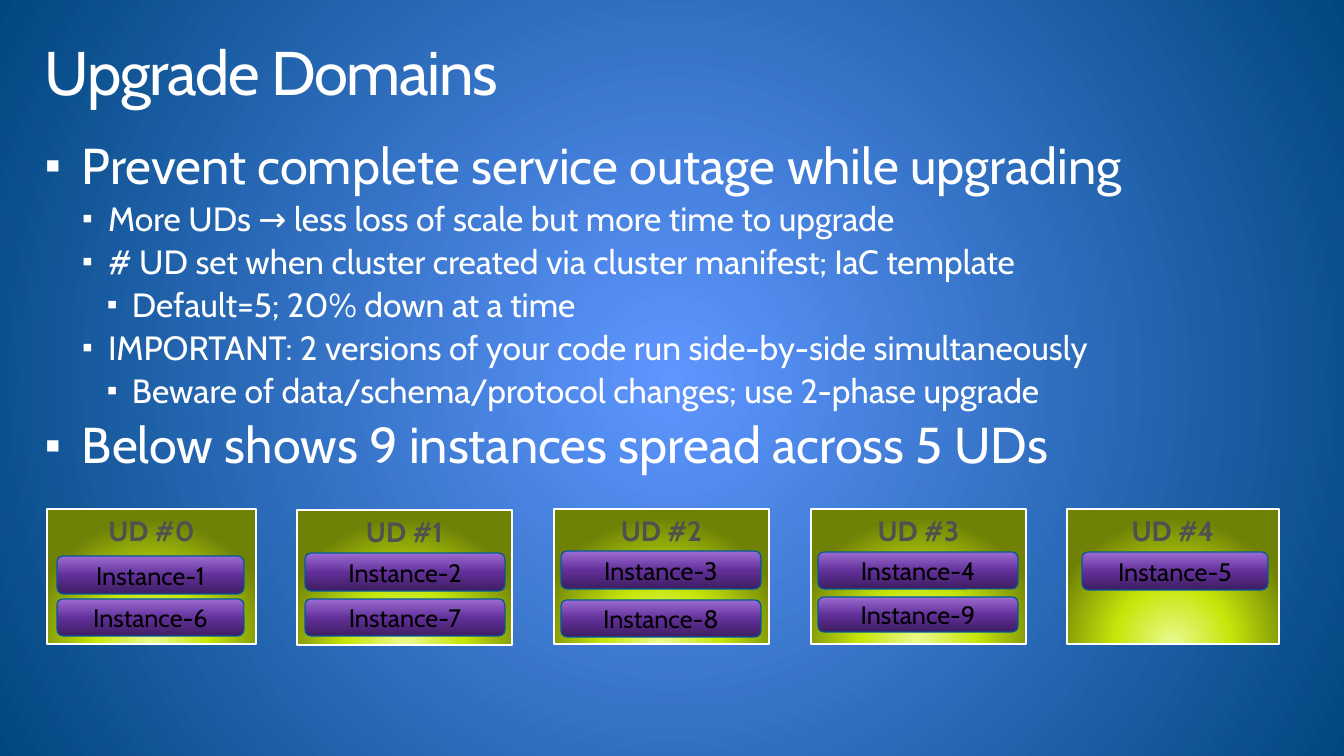
import pptx
import pptx.util
import pptx.dml.color
import pptx.enum.shapes
import pptx.enum.text
import pptx.oxml
import pptx.oxml.ns
import lxml.etree

PX = 9072
FONT = "Cabin"
COLORS = {
    "white": "FFFFFF", "heading": "505050", "black": "000000", "edge": "00599F",
    "bg_center": "5F96FF", "bg_edge": "00477F",
    "lime_pale": "EBFA92", "lime": "C6E60B", "olive": "708206",
    "purple_dark": "3E1E61", "purple": "612F98", "purple_light": "9C6CD2",
}
ALIGN = pptx.enum.text.PP_ALIGN
ANCHOR = pptx.enum.text.MSO_ANCHOR
SHAPE = pptx.enum.shapes.MSO_SHAPE
qn = pptx.oxml.ns.qn


def add_run(p, text, size, color, bold=False):
    r = p.add_run()
    r.text = text
    r.font.name = FONT
    r.font.size = pptx.util.Pt(size)
    r.font.bold = bold
    r.font.color.rgb = pptx.dml.color.RGBColor.from_string(COLORS[color])
    return r


def set_gradient(owner, fill, stops, direction):
    fill.gradient()
    old = owner._element.find(".//" + qn("a:gradFill"))
    gs = "".join(
        f'<a:gs pos="{pos * 1000}"><a:srgbClr val="{COLORS[name]}"/></a:gs>'
        for pos, name in stops
    )
    new = pptx.oxml.parse_xml(
        f'<a:gradFill {pptx.oxml.ns.nsdecls("a")} rotWithShape="1">'
        f"<a:gsLst>{gs}</a:gsLst>{direction}</a:gradFill>"
    )
    old.getparent().replace(old, new)


CIRCLE = '<a:path path="circle"><a:fillToRect l="50000" t="{}" r="50000" b="{}"/></a:path>'
UPWARD = '<a:lin ang="16200000" scaled="0"/>'

prs = pptx.Presentation()
prs.slide_width = 1344 * PX
prs.slide_height = 756 * PX
s = prs.slides.add_slide(prs.slide_layouts[5])
set_gradient(s, s.background.fill, [(0, "bg_center"), (100, "bg_edge")],
             CIRCLE.format(50000, 50000))

title = s.shapes.title
title.left, title.top, title.width, title.height = 29 * PX, 32 * PX, 1285 * PX, 99 * PX
body = s.shapes.add_textbox(29 * PX, 131 * PX, 1284 * PX, 367 * PX)
for sp in (title, body):
    tf = sp.text_frame
    tf.word_wrap = True
    tf.auto_size = pptx.enum.text.MSO_AUTO_SIZE.NONE
    tf.vertical_anchor = ANCHOR.TOP
    tf.margin_left = tf.margin_right = 16 * PX
    tf.margin_top = tf.margin_bottom = 10 * PX

p = title.text_frame.paragraphs[0]
p.alignment = ALIGN.LEFT
p.line_spacing = 0.9
r = add_run(p, "Upgrade Domains", 44, "white")
r.font._element.set("spc", "-100")

bullets = [
    (0, "Prevent complete service outage while upgrading"),
    (1, "More UDs → less loss of scale but more time to upgrade"),
    (1, "# UD set when cluster created via cluster manifest; IaC template"),
    (2, "Default=5; 20% down at a time"),
    (1, "IMPORTANT: 2 versions of your code run side-by-side simultaneously"),
    (2, "Beware of data/schema/protocol changes; use 2-phase upgrade"),
    (0, "Below shows 9 instances spread across 5 UDs"),
]
levels = [(37, -37, 36), (63, -26, 24), (87, -25, 24)]
tf = body.text_frame
for i, (level, text) in enumerate(bullets):
    margin, indent, size = levels[level]
    p = tf.add_paragraph() if i else tf.paragraphs[0]
    p.level = level
    p.line_spacing = 0.9
    p.space_before = pptx.util.Pt(size * 0.2 if i else 0)
    pPr = p._p.get_or_add_pPr()
    pPr.set("marL", str(margin * PX))
    pPr.set("indent", str(indent * PX))
    lxml.etree.SubElement(pPr, qn("a:buSzPct"), val="90000")
    lxml.etree.SubElement(pPr, qn("a:buFont"), typeface="Arial")
    lxml.etree.SubElement(pPr, qn("a:buChar"), char="▪")
    add_run(p, text, size, "white")

domains = [
    ((47, 509, 209), (57, 187), [(556, 38), (599, 37)]),
    ((297, 510, 215), (305, 200), [(553, 38), (599, 37)]),
    ((554, 509, 215), (561, 200), [(551, 38), (600, 37)]),
    ((811, 509, 215), (818, 200), [(552, 37), (597, 35)]),
    ((1067, 509, 212), (1082, 186), [(552, 38)]),
]
for n, ((left, top, width), (inst_left, inst_width), instances) in enumerate(domains):
    sp = s.shapes.add_shape(SHAPE.RECTANGLE, left * PX, top * PX, width * PX, 135 * PX)
    sp.shadow.inherit = False
    set_gradient(sp, sp.fill, [(0, "lime_pale"), (46, "lime"), (100, "olive")],
                 CIRCLE.format(130000, -30000))
    sp.line.color.rgb = pptx.dml.color.RGBColor.from_string(COLORS["white"])
    sp.line.width = pptx.util.Pt(1.5)
    tf = sp.text_frame
    tf.vertical_anchor = ANCHOR.TOP
    tf.margin_left = tf.margin_right = tf.margin_top = tf.margin_bottom = 5 * PX
    p = tf.paragraphs[0]
    p.alignment = ALIGN.CENTER
    add_run(p, f"UD #{n}", 20, "heading", True)

    for row, (inst_top, inst_height) in enumerate(instances):
        sp = s.shapes.add_shape(SHAPE.ROUNDED_RECTANGLE, inst_left * PX, inst_top * PX,
                                inst_width * PX, inst_height * PX)
        sp.shadow.inherit = False
        set_gradient(sp, sp.fill,
                     [(0, "purple_dark"), (48, "purple"), (100, "purple_light")], UPWARD)
        sp.line.color.rgb = pptx.dml.color.RGBColor.from_string(COLORS["edge"])
        sp.line.width = pptx.util.Pt(0.85)
        tf = sp.text_frame
        tf.vertical_anchor = ANCHOR.MIDDLE
        p = tf.paragraphs[0]
        p.alignment = ALIGN.CENTER
        add_run(p, f"Instance-{n + 1 + row * len(domains)}", 18, "black")

prs.save("out.pptx")
